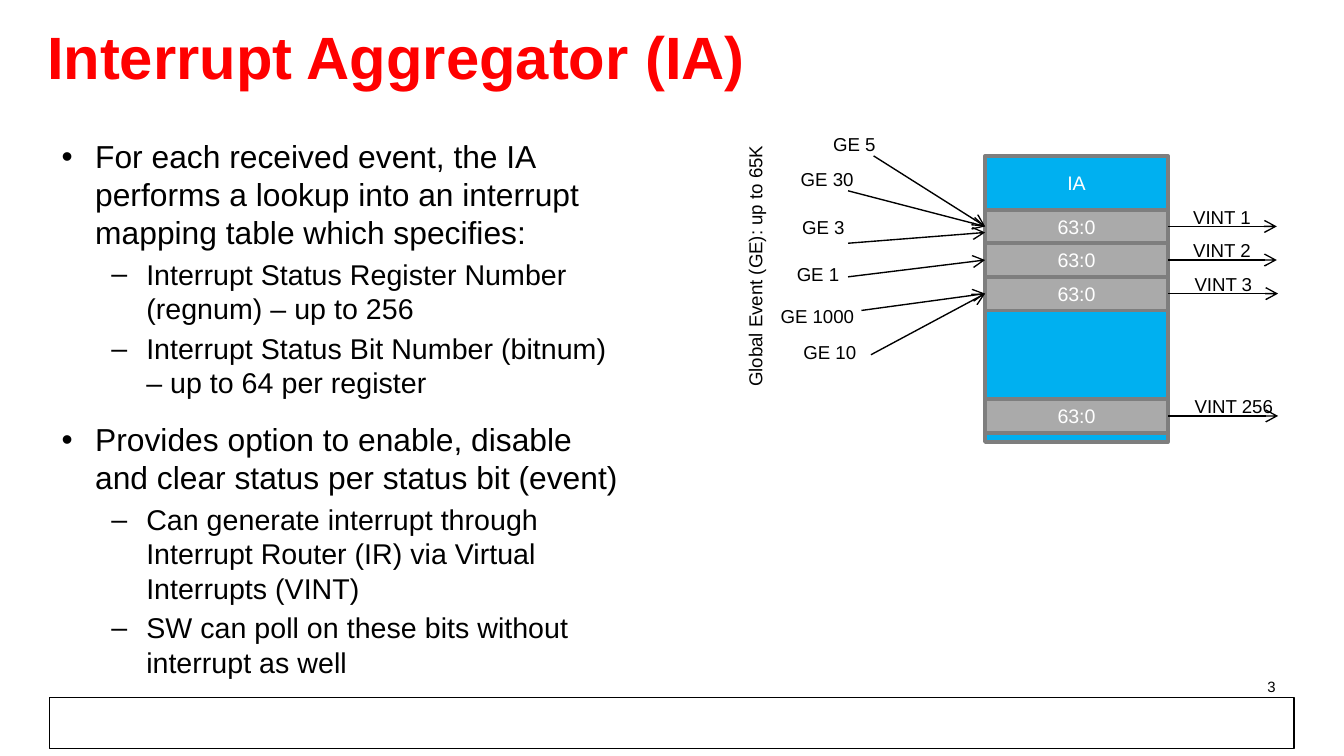
from lxml.etree import SubElement
from pptx import Presentation
from pptx.dml.color import RGBColor
from pptx.enum.shapes import MSO_CONNECTOR as CONNECTOR, MSO_SHAPE as SHAPE
from pptx.enum.text import MSO_ANCHOR as ANCHOR, PP_ALIGN as ALIGN
from pptx.oxml.ns import qn
from pptx.util import Pt

PX = 9144
COLORS = {"title": "FF0000", "text": "000000", "light": "FFFFFF",
          "block": "00B0F0", "register": "AAAAAA", "border": "7E7E7E"}


def write(shape, text, size, color="text", paragraph=None, **formats):
    paragraph = paragraph or shape.text_frame.paragraphs[0]
    for name, value in formats.items():
        setattr(paragraph, name, value)
    run = paragraph.add_run()
    run.text = text
    for name, value in {"name": "Arial", "size": Pt(size), "bold": color == "title"}.items():
        setattr(run.font, name, value)
    run.font.color.rgb = RGBColor.from_string(COLORS[color])
    return paragraph


def add_arrow(begin_x, begin_y, end_x, end_y):
    arrow = slide.shapes.add_connector(CONNECTOR.STRAIGHT, begin_x, begin_y, end_x, end_y)
    arrow.line.width = Pt(0.75)
    arrow.line.color.rgb = RGBColor.from_string(COLORS["text"])
    SubElement(arrow.line._get_or_add_ln(), qn("a:tailEnd"), type="arrow")
    SubElement(arrow._element.spPr, qn("a:effectLst"))
    return arrow


presentation = Presentation()
presentation.slide_width = 1000 * PX
presentation.slide_height = presentation.slide_width * 9 // 16
slide = presentation.slides.add_slide(presentation.slide_layouts[5])

title = slide.shapes.title
for name, value in {"left": 25, "top": 12, "width": 925, "height": 67}.items():
    setattr(title, name, value * PX)
title.text_frame.vertical_anchor = ANCHOR.MIDDLE
write(title, "Interrupt Aggregator (IA)", 32, "title", alignment=ALIGN.LEFT, line_spacing=0.85)

body = slide.shapes.add_textbox(36 * PX, 97 * PX, 438 * PX, 416 * PX)
body.text_frame.word_wrap = True
points = [
    (0, "For each received event, the IA performs a lookup into an interrupt mapping table which specifies:"),
    (1, "Interrupt Status Register Number (regnum) – up to 256"),
    (1, "Interrupt Status Bit Number (bitnum) – up to 64 per register"),
    (0, "Provides option to enable, disable and clear status per status bit (event)"),
    (1, "Can generate interrupt through Interrupt Router (IR) via Virtual Interrupts (VINT)"),
    (1, "SW can poll on these bits without interrupt as well"),
]
levels = [(17, 11, 25, -25, "•"), (15.3, 3, 63, -26, "–")]
for index, (level, text) in enumerate(points):
    size, space, margin, indent, bullet = levels[level]
    paragraph = body.text_frame.add_paragraph() if index else body.text_frame.paragraphs[0]
    write(body, text, size, paragraph=paragraph, level=level, line_spacing=1.0,
          space_before=Pt(space if index else 0))
    properties = paragraph._p.get_or_add_pPr()
    properties.set("marL", str(margin * PX))
    properties.set("indent", str(indent * PX))
    SubElement(properties, qn("a:buFont"), typeface="Arial")
    SubElement(properties, qn("a:buChar"), char=bullet)

page_number = slide.shapes.add_textbox(726 * PX, 499 * PX, 233 * PX, 17 * PX)
page_number.text_frame.word_wrap = True
write(page_number, "3", 8, alignment=ALIGN.RIGHT)

boxes = [
    (37, 519, 926, 38, None, "text", 0.75, ""),
    (733, 116, 136, 213, "block", "border", 2, "IA"),
]
boxes += [(733, top, 136, 25, "register", "border", 2, "63:0") for top in (156, 181, 206, 297)]
registers = []
for left, top, width, height, fill, line, weight, text in boxes:
    box = slide.shapes.add_shape(SHAPE.RECTANGLE, left * PX, top * PX, width * PX, height * PX)
    box.shadow.inherit = False
    box.line.color.rgb = RGBColor.from_string(COLORS[line])
    box.line.width = Pt(weight)
    if fill:
        box.fill.solid()
        box.fill.fore_color.rgb = RGBColor.from_string(COLORS[fill])
    else:
        box.fill.background()
    if text:
        write(box, text, 10.5, "light", alignment=ALIGN.CENTER)
    if fill == "block":
        box.text_frame.vertical_anchor = ANCHOR.TOP
        box.text_frame.margin_top = 11 * PX
    if fill == "register":
        box.text_frame.vertical_anchor = ANCHOR.MIDDLE
        registers.append(box)

labels = [
    ("GE 5", 610, 94, 52), ("GE 30", 586, 120, 60), ("GE 3", 587, 156, 52),
    ("GE 1", 583, 191, 52), ("GE 1000", 571, 222, 75), ("GE 10", 588, 249, 60),
    ("Global Event (GE): up to 65K", 460, 182, 204),
]
for register, number, left, width in zip(registers, (1, 2, 3, 256), (878, 878, 879, 879), (64, 64, 64, 79)):
    middle = register.top + register.height // 2
    arrow = add_arrow(869 * PX, middle, (left + 72) * PX, middle)
    arrow.begin_connect(register, 3)
    labels.append((f"VINT {number}", left, register.top // PX - 8, width))

events = [(650, 116, 0), (631, 142, 0), (631, 181, None),
          (631, 206, 1), (641, 231, 2), (648, 264, 2)]
for left, top, target in events:
    arrow = add_arrow(left * PX, top * PX, 733 * PX, 173 * PX)
    if target is not None:
        arrow.end_connect(registers[target], 1)

for text, left, top, width in labels:
    label = slide.shapes.add_textbox(left * PX, top * PX, width * PX, 27 * PX)
    label.text_frame.word_wrap = False
    label.rotation = 270 if text.startswith("Global") else 0
    write(label, text, 10, alignment=ALIGN.LEFT)

presentation.save("out.pptx")
